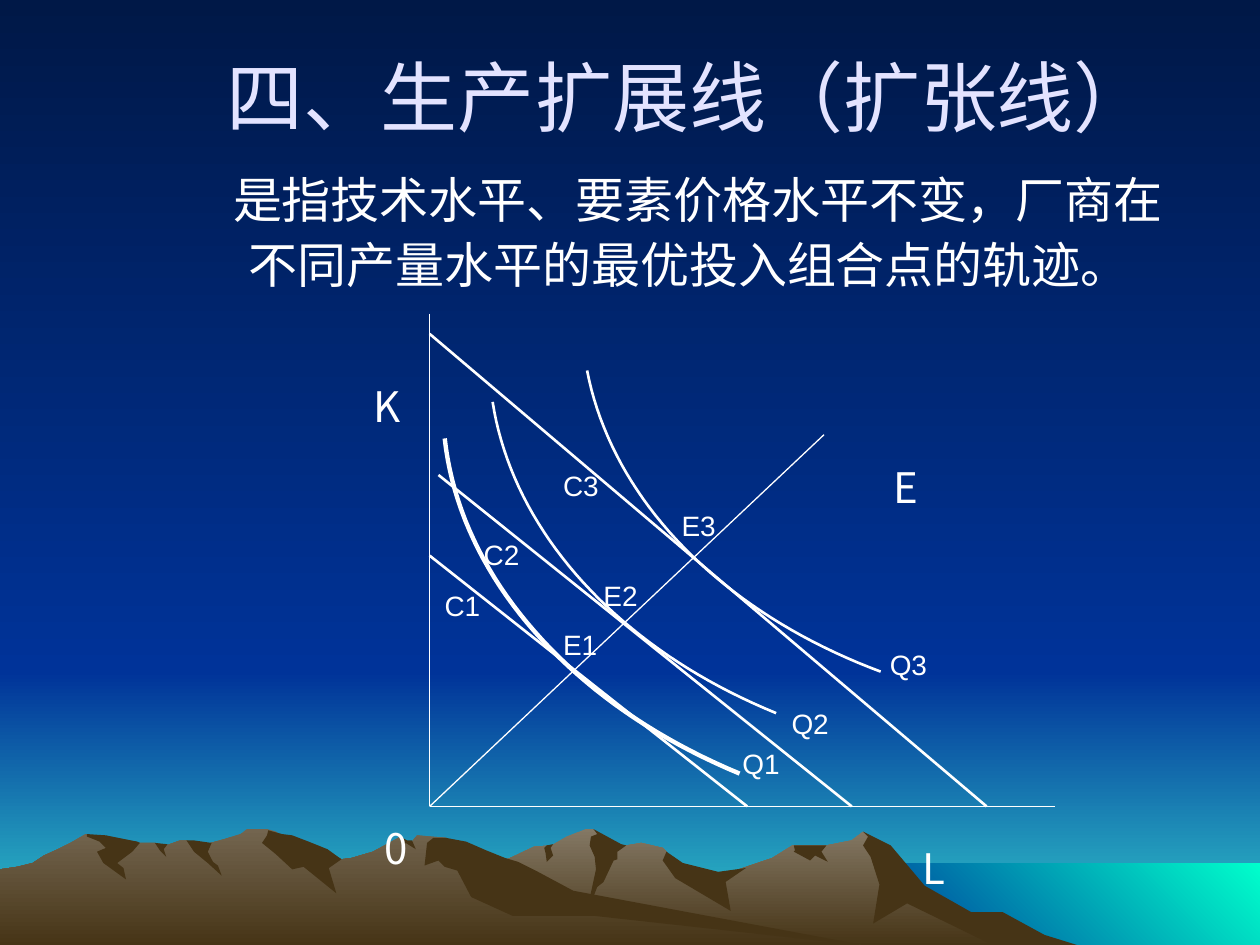
import pptx
import pptx.util
import pptx.dml.color
import pptx.enum.shapes
import pptx.enum.text
from lxml import etree
from pptx.util import Inches
from pptx.oxml.ns import qn

SANS = "Noto Sans CJK SC"
WHITE = "FFFFFF"
SHADE = "463416"
CENTER = pptx.enum.text.PP_ALIGN.CENTER


def color(value):
    return pptx.dml.color.RGBColor.from_string(value)


def bezier(start, control1, control2, end, steps=40):
    """Points along a cubic curve."""
    points = []
    for step in range(steps + 1):
        t = step / steps
        weights = ((1 - t) ** 3, 3 * t * (1 - t) ** 2, 3 * t * t * (1 - t), t ** 3)
        points.append(tuple(
            sum(weight * value for weight, value in zip(weights, values))
            for values in zip(start, control1, control2, end)))
    return points


class Deck:
    """Holds the presentation, the current slide and its style."""

    def __init__(self):
        self.presentation = pptx.Presentation()
        self.presentation.slide_width = Inches(10)
        self.presentation.slide_height = Inches(7.5)
        self.slide = self.presentation.slides.add_slide(
            self.presentation.slide_layouts[5])

    def gradient(self, fill, colors, angle=270):
        fill.gradient()
        fill.gradient_angle = angle
        for stop, value in zip(fill.gradient_stops, colors):
            stop.color.rgb = color(value)

    def outline(self, points, close):
        (start, *rest) = [(Inches(x), Inches(y)) for x, y in points]
        builder = self.slide.shapes.build_freeform(*start)
        builder.add_line_segments(rest, close=close)
        shape = builder.convert_to_shape()
        shape.shadow.inherit = False
        return shape

    def area(self, points, fill, angle=270):
        shape = self.outline(points, True)
        shape.line.fill.background()
        if isinstance(fill, str):
            shape.fill.solid()
            shape.fill.fore_color.rgb = color(fill)
        else:
            self.gradient(shape.fill, fill, angle)

    def curve(self, points, width):
        shape = self.outline(bezier(*points), False)
        shape.fill.background()
        shape.line.color.rgb = color(WHITE)
        shape.line.width = pptx.util.Pt(width)

    def line(self, start, end, width):
        connector = self.slide.shapes.add_connector(
            pptx.enum.shapes.MSO_CONNECTOR.STRAIGHT,
            *(Inches(value) for value in start + end))
        connector.line.color.rgb = color(WHITE)
        connector.line.width = pptx.util.Pt(width)
        etree.SubElement(connector.element.spPr, qn("a:effectLst"))

    def format_run(self, run, size, font, value=WHITE):
        run.font.size = pptx.util.Pt(size)
        run.font.name = font
        run.font.color.rgb = color(value)
        if font == SANS:
            east_asian = etree.SubElement(run.font._element, qn("a:ea"))
            east_asian.set("typeface", font)

    def label(self, text, left, top, width, height, size, font, align=None, wrap=True):
        box = self.slide.shapes.add_textbox(
            *(Inches(value) for value in (left, top, width, height)))
        frame = box.text_frame
        frame.text = text
        frame.word_wrap = wrap
        frame.auto_size = pptx.enum.text.MSO_AUTO_SIZE.SHAPE_TO_FIT_TEXT
        frame.paragraphs[0].alignment = align
        self.format_run(frame.paragraphs[0].runs[0], size, font)

    def title(self, lines, left, top, width, height):
        title = self.slide.shapes.title
        title.element.getparent().append(title.element)  # in front of the scenery
        title.left, title.top = Inches(left), Inches(top)
        title.width, title.height = Inches(width), Inches(height)
        frame = title.text_frame
        frame.word_wrap = True
        frame.auto_size = pptx.enum.text.MSO_AUTO_SIZE.NONE
        frame.vertical_anchor = pptx.enum.text.MSO_ANCHOR.MIDDLE
        paragraph = frame.paragraphs[0]
        paragraph.alignment = CENTER
        for index, runs in enumerate(lines):
            if index:
                paragraph.add_line_break()
            for text, *style in runs:
                run = paragraph.add_run()
                run.text = text
                self.format_run(run, *style)


deck = Deck()

# Sky, horizon and water
NIGHT, BLUE = "001847", "003399"
deck.gradient(deck.slide.background.fill, (NIGHT, BLUE))
for left, top, bottom, colors, angle in (
        (0, 5.33, 7.5, (BLUE, "33CCCC"), 270),
        (0, 0, 5.33, (NIGHT, BLUE), 270),
        (6.83, 6.85, 7.5, (BLUE, "00FFCC"), 45)):
    deck.area([(left, top), (10, top), (10, bottom), (left, bottom)], colors, angle)

# Mountains, each followed by its shaded slopes
right_range = [
    (8.02, 7.4), (7.78, 7.27), (7.64, 7.23), (7.23, 6.98), (7.02, 6.71), (6.85, 6.6),
    (6.76, 6.67), (6.56, 6.71), (6.29, 6.71), (6.13, 6.81), (5.66, 6.97), (5.36, 6.9),
    (5.29, 6.76), (5.26, 6.73), (5.09, 6.69), (4.86, 6.73), (4.74, 6.61), (4.71, 6.58),
    (4.65, 6.58), (4.5, 6.64), (4.38, 6.71), (4.24, 6.72), (4.05, 6.81), (3.94, 6.85),
    (3.55, 6.98), (3.27, 7.09), (2.77, 7.39), (2.58, 7.51), (8.21, 7.51)]
right_slopes = [
    [(7.96, 7.24), (7.71, 7.24), (7.34, 7.03), (7.07, 6.71), (6.85, 6.6), (6.89, 6.64),
     (6.85, 6.71), (6.91, 6.8), (6.98, 7.02), (6.93, 7.33), (7.2, 7.17), (7.92, 7.52),
     (8.58, 7.51), (8.29, 7.42)],
    [(4.71, 6.58), (4.74, 6.62), (4.69, 6.64), (4.68, 6.71), (4.72, 6.8), (4.73, 6.9),
     (4.65, 7.27), (4.74, 7.04), (4.79, 7), (4.87, 6.83), (4.9, 6.82), (4.9, 6.76),
     (4.97, 6.71), (4.93, 6.7)],
    [(5.29, 6.76), (5.26, 6.83), (5.36, 6.97), (5.8, 7.23), (5.76, 7), (5.92, 6.89),
     (5.7, 6.92), (5.42, 6.85)],
    [(6.5, 6.71), (6.3, 6.71), (6.31, 6.75), (6.3, 6.76), (6.43, 6.83), (6.47, 6.79),
     (6.57, 6.84), (6.52, 6.76), (6.56, 6.71)],
    [(4.33, 6.77), (4.32, 6.73), (4.34, 6.71), (4.39, 6.7), (4.37, 6.73), (4.39, 6.79),
     (4.34, 6.84)]]
left_range = [
    (6.9, 7.51), (6.67, 7.48), (4.32, 7.12), (3.54, 6.65), (3.31, 6.63), (3.27, 6.68),
    (3.23, 6.68), (3.18, 6.64), (2.96, 6.76), (2.79, 6.81), (2.71, 6.82), (2.6, 6.76),
    (2.36, 6.81), (2.23, 6.63), (2.19, 6.6), (2.12, 6.58), (1.96, 6.58), (1.91, 6.62),
    (1.78, 6.66), (1.6, 6.71), (1.48, 6.67), (1.43, 6.67), (1.32, 6.71), (1.23, 6.69),
    (1.11, 6.69), (0.94, 6.71), (0.68, 6.62), (0.56, 6.69), (0.46, 6.74), (0.35, 6.79),
    (0.26, 6.85), (0.14, 6.88), (0, 6.9), (0, 7.51)]
left_slopes = [
    [(2.12, 6.63), (2.08, 6.69), (2.19, 6.78), (2.32, 6.9), (2.41, 6.88), (2.67, 7.09),
     (2.61, 6.89), (2.71, 6.82), (2.6, 6.74), (2.45, 6.68), (2.32, 6.63), (2.24, 6.62),
     (2.13, 6.59)],
    [(3.7, 6.68), (3.54, 6.65), (3.44, 6.65), (3.39, 6.69), (3.37, 6.87), (3.48, 6.83),
     (3.53, 6.88), (3.63, 6.91), (3.74, 7.12), (4.07, 7.27), (4.72, 7.27), (6.9, 7.51),
     (4.55, 7.07), (4.27, 6.92), (4.11, 6.84), (4.01, 6.81), (3.86, 6.75)],
    [(3.18, 6.67), (3.2, 6.66), (3.18, 6.64), (3.23, 6.67), (3.27, 6.67), (3.3, 6.74),
     (3.22, 6.69), (3.19, 6.72)],
    [(1.54, 6.67), (1.68, 6.69), (1.65, 6.76), (1.69, 6.84), (1.73, 6.87), (1.76, 6.95),
     (1.65, 6.85), (1.54, 6.76), (1.48, 6.67)],
    [(1.33, 6.7), (1.3, 6.74), (1.32, 6.8), (1.27, 6.75), (1.23, 6.69)],
    [(1.09, 6.68), (1.11, 6.69), (1.05, 6.76), (0.93, 6.85), (0.98, 6.89), (1, 6.98),
     (0.82, 6.85), (0.77, 6.76), (0.84, 6.73), (0.79, 6.68), (0.69, 6.64), (0.69, 6.62),
     (0.84, 6.63), (0.94, 6.65)]]
for mountain, light, slopes in ((right_range, "847864", right_slopes),
                                (left_range, "73654F", left_slopes)):
    deck.area(mountain, (light, SHADE))
    for slope in slopes:
        deck.area(slope, SHADE)

# Title and definition
deck.title([
    [("四、生产", 44, "Arial", "E3E3FF"), ("扩展线（扩张线）", 44, SANS, "E3E3FF")],
    [(" ", 44, SANS, "E3E3FF"),
     ("是指技术水平、要素价格水平不变，厂商在不同产量水平的最优投入组合点的轨迹。", 28, SANS)],
], 1.53, 0.36, 7.88, 2)

# Axes and expansion path
origin = (3.41, 6.4)
deck.line((3.41, 2.49), origin, 0.75)
deck.line(origin, (8.37, 6.4), 0.75)
deck.line(origin, (6.54, 3.45), 0.75)

# Isoquants Q1 to Q3
for points, width in (
        (((3.53, 3.48), (3.65, 4.58), (4.54, 5.59), (5.87, 6.14)), 2.5),
        (((3.91, 3.19), (4.07, 4.22), (4.91, 5.15), (6.16, 5.66)), 1.5),
        (((4.66, 2.94), (4.86, 3.97), (5.73, 4.86), (6.99, 5.33)), 1.5)):
    deck.curve(points, width)

# Isocost lines C1 to C3
for start, foot in (((3.41, 4.41), 5.93), ((3.48, 3.77), 6.76), ((3.41, 2.65), 7.83)):
    deck.line(start, (foot, 6.4), 1.5)

# Labels of the axes and the path
for text, left, top, width in (("K", 2.87, 2.97, 0.46), ("L", 7.22, 6.64, 0.92),
                               ("0", 2.95, 6.48, 0.46), ("E", 6.99, 3.61, 0.99)):
    deck.label(text, left, top, width, 0.5, 24, SANS)

# Labels of the tangent points, isocosts and isoquants
label_widths = {"E": 0.47, "C": 0.48, "Q": 0.52}
for text, left, top in (
        ("E1", 4.37, 4.93), ("E2", 4.69, 4.54), ("E3", 5.31, 3.99),
        ("C1", 3.43, 4.62), ("Q1", 5.78, 5.88), ("C2", 3.74, 4.22),
        ("Q2", 6.17, 5.56), ("C3", 4.37, 3.67), ("Q3", 6.95, 5.09)):
    deck.label(text, left, top, label_widths[text[0]], 0.37, 16, "Arial", CENTER,
               text.startswith("E"))

deck.presentation.save("out.pptx")
